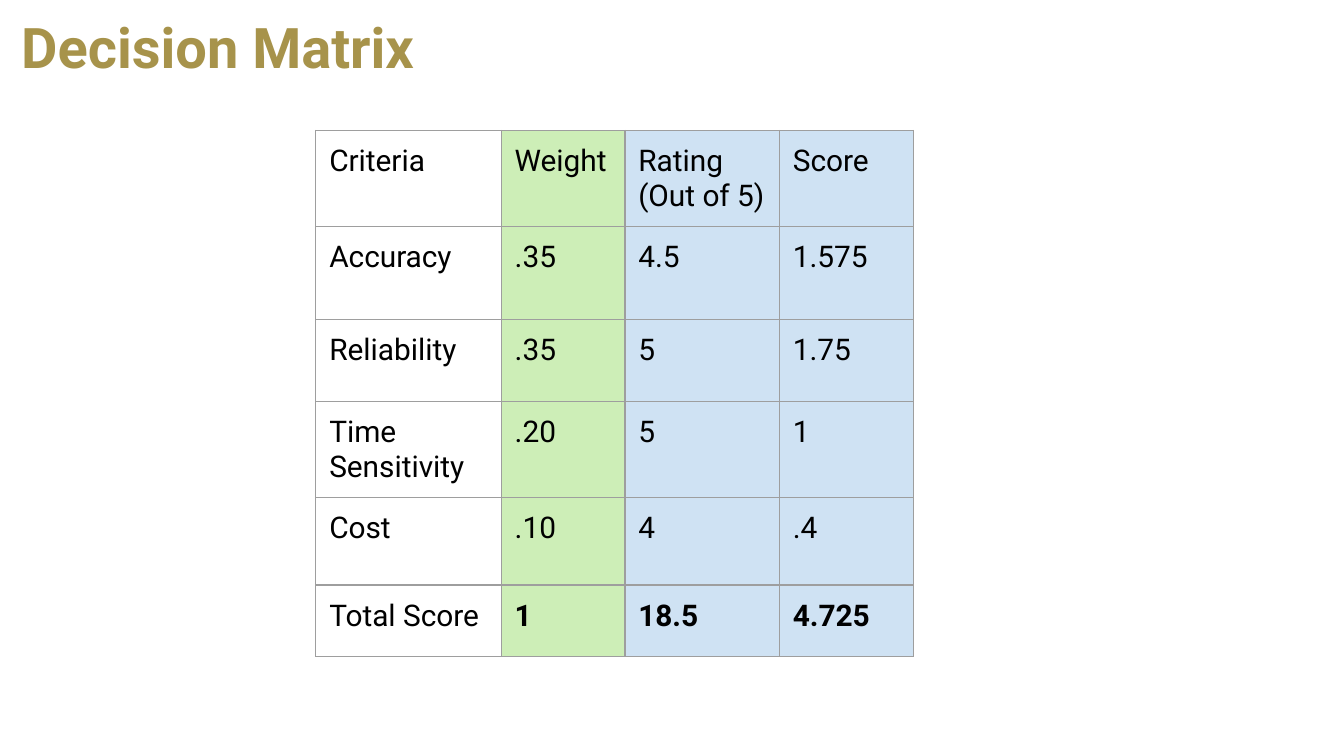
from lxml.etree import SubElement
from pptx import Presentation
from pptx.dml.color import RGBColor
from pptx.enum.text import MSO_ANCHOR
from pptx.oxml.ns import qn
from pptx.util import Inches, Pt

TITLE = "Decision Matrix"
ROWS = [
    ("Criteria", "Weight", "Rating (Out of 5)", "Score"),
    ("Accuracy", ".35", "4.5", "1.575"),
    ("Reliability", ".35", "5", "1.75"),
    ("Time Sensitivity", ".20", "5", "1"),
    ("Cost", ".10", "4", ".4"),
    ("Total Score", "1", "18.5", "4.725"),
]
SLIDE_WIDTH = 10
SLIDE_HEIGHT = SLIDE_WIDTH * 9 / 16
COL_WIDTHS = [1.38, 0.92, 1.15, 1]
ROW_HEIGHTS = [0.53, 0.69, 0.61, 0.65, 0.65, 0.53]
COL_FILLS = [None, "CDEEB7", "CFE2F3", "CFE2F3"]
TABLE_LEFT, TABLE_TOP = 2.35, 0.97
BORDER, BORDER_PT = "9E9E9E", 0.75
MARGINS = ("margin_left", "margin_right", "margin_top", "margin_bottom")


def rgb(color):
    return RGBColor.from_string(color)


def write(p, text, size, color, bold=False):
    r = p.add_run()
    r.text = text
    for name, value in dict(name="Roboto", size=Pt(size), bold=bold).items():
        setattr(r.font, name, value)
    r.font.color.rgb = rgb(color)


def add_borders(cell):
    """Line all four sides; call before filling, as XML order matters."""
    tc_pr = cell._tc.get_or_add_tcPr()
    for side in "LRTB":
        ln = SubElement(tc_pr, qn(f"a:ln{side}"), w=str(Pt(BORDER_PT)))
        fill = SubElement(ln, qn("a:solidFill"))
        SubElement(fill, qn("a:srgbClr"), val=BORDER)


def add_title(s):
    sp = s.shapes.add_textbox(Inches(0.06), 0, Inches(9.04), Inches(0.65))
    tf = sp.text_frame
    tf.word_wrap = True
    tf.vertical_anchor = MSO_ANCHOR.BOTTOM
    p = tf.paragraphs[0]
    p.line_spacing = 0.9
    write(p, TITLE, 30, "A7934B", True)


def add_matrix(s):
    table = s.shapes.add_table(
        len(ROWS), len(COL_WIDTHS), Inches(TABLE_LEFT), Inches(TABLE_TOP),
        Inches(sum(COL_WIDTHS)), Inches(sum(ROW_HEIGHTS))).table
    table.first_row = table.horz_banding = False
    for col, width in zip(table.columns, COL_WIDTHS):
        col.width = Inches(width)
    for row, height in zip(table.rows, ROW_HEIGHTS):
        row.height = Inches(height)
    for i, texts in enumerate(ROWS):
        for j, (text, fill) in enumerate(zip(texts, COL_FILLS)):
            cell = table.cell(i, j)
            for margin in MARGINS:
                setattr(cell, margin, Inches(0.1))
            add_borders(cell)
            if fill:
                cell.fill.solid()
                cell.fill.fore_color.rgb = rgb(fill)
            else:
                cell.fill.background()
            is_total = i == len(ROWS) - 1 and j > 0
            write(cell.text_frame.paragraphs[0], text, 16, "000000", is_total)


def main():
    prs = Presentation()
    prs.slide_width = Inches(SLIDE_WIDTH)
    prs.slide_height = Inches(SLIDE_HEIGHT)
    s = prs.slides.add_slide(prs.slide_layouts[6])
    add_matrix(s)
    add_title(s)
    prs.save("out.pptx")


if __name__ == "__main__":
    main()
